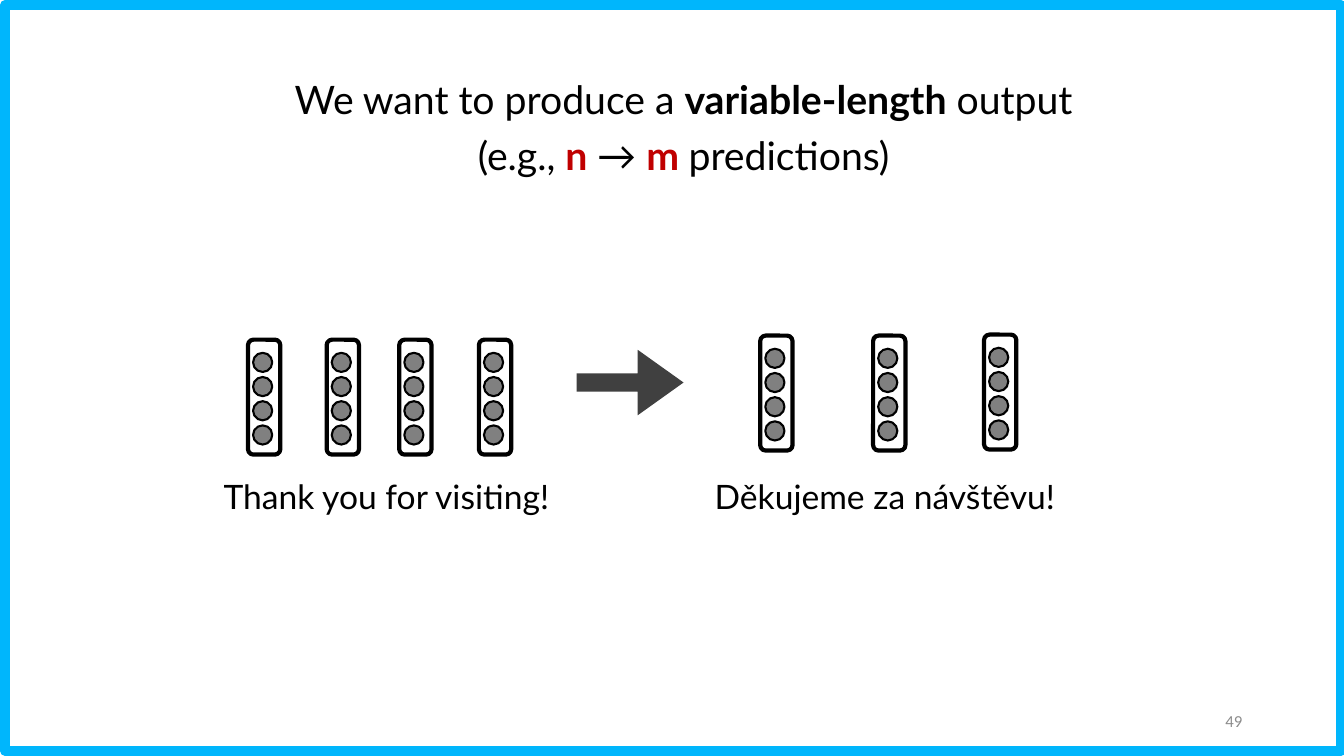
"""Build the variable-length output slide."""
from dataclasses import dataclass

import pptx
import pptx.dml.color
import pptx.enum.shapes
import pptx.enum.text
import pptx.util

Inches = pptx.util.Inches
Pt = pptx.util.Pt
RGBColor = pptx.dml.color.RGBColor
Shape = pptx.enum.shapes.MSO_SHAPE
Align = pptx.enum.text.PP_ALIGN
Anchor = pptx.enum.text.MSO_ANCHOR

BLACK = RGBColor(0x00, 0x00, 0x00)
RED = RGBColor(0xC0, 0x00, 0x00)
GRAY = RGBColor(0x80, 0x80, 0x80)
NUMBER_GRAY = RGBColor(0x8C, 0x8C, 0x8C)
DARK_GRAY = RGBColor(0x40, 0x40, 0x40)
SKY = RGBColor(0x00, 0xB6, 0xFC)


@dataclass(frozen=True)
class Box:
    left: float
    top: float
    width: float
    height: float


@dataclass(frozen=True)
class Label:
    text: str
    box: Box
    size: float = 24
    font: str = "Lato"
    color: RGBColor = BLACK
    align: Align = Align.LEFT
    anchor: Anchor = Anchor.TOP


@dataclass(frozen=True)
class Segment:
    text: str
    bold: bool = False
    color: RGBColor = BLACK


@dataclass(frozen=True)
class Vector:
    left: float
    top: float


TITLE_BOX = Box(2.67, 0.6, 8.22, 1.5)
TITLE_LINES = [
    [Segment("We want to produce a "), Segment("variable-length", True), Segment(" output")],
    [Segment("(e.g., "), Segment("n ", True, RED), Segment("→ "),
     Segment("m ", True, RED), Segment("predictions)")],
]
LABELS = [
    Label("Thank you for visiting!", Box(2.12, 4.67, 3.84, 0.5)),
    Label("Děkujeme za návštěvu!", Box(6.99, 4.67, 3.84, 0.5)),
    Label("49", Box(9.42, 6.95, 3, 0.4), 12, "Calibri", NUMBER_GRAY, Align.RIGHT, Anchor.MIDDLE),
]
VECTORS = [
    Vector(2.46, 3.37), Vector(3.24, 3.37), Vector(3.96, 3.37), Vector(4.75, 3.37),
    Vector(7.54, 3.33), Vector(8.66, 3.33), Vector(9.76, 3.32),
]
UNITS = 4
UNIT_SIZE = 0.19
UNIT_STEP = 0.24


def add_box(shapes, kind: Shape, box: Box, fill: RGBColor | None = None,
            line: RGBColor | None = None, weight: float = 0):
    sp = shapes.add_shape(kind, Inches(box.left), Inches(box.top),
                          Inches(box.width), Inches(box.height))
    sp.shadow.inherit = False
    if fill is None:
        sp.fill.background()
    else:
        sp.fill.solid()
        sp.fill.fore_color.rgb = fill
    if line is None:
        sp.line.fill.background()
    else:
        sp.line.color.rgb = line
        sp.line.width = Pt(weight)
    return sp


def style_run(r, font: str, size: float, color: RGBColor, bold: bool = False) -> None:
    r.font.name = font
    r.font.size = Pt(size)
    r.font.color.rgb = color
    r.font.bold = bold


def fill_title(sp) -> None:
    sp.left, sp.top = Inches(TITLE_BOX.left), Inches(TITLE_BOX.top)
    sp.width, sp.height = Inches(TITLE_BOX.width), Inches(TITLE_BOX.height)
    tf = sp.text_frame
    tf.auto_size = pptx.enum.text.MSO_AUTO_SIZE.NONE
    tf.vertical_anchor = Anchor.TOP
    for i, line in enumerate(TITLE_LINES):
        p = tf.add_paragraph() if i else tf.paragraphs[0]
        p.alignment = Align.CENTER
        p.line_spacing = 1.2
        for segment in line:
            r = p.add_run()
            r.text = segment.text
            style_run(r, "Lato", 28, segment.color, segment.bold)


def add_label(shapes, label: Label) -> None:
    box = label.box
    sp = shapes.add_textbox(Inches(box.left), Inches(box.top),
                            Inches(box.width), Inches(box.height))
    tf = sp.text_frame
    tf.word_wrap = True
    tf.vertical_anchor = label.anchor
    tf.text = label.text
    p = tf.paragraphs[0]
    p.alignment = label.align
    style_run(p.runs[0], label.font, label.size, label.color)


def add_vector(shapes, vector: Vector) -> None:
    group = shapes.add_group_shape()
    add_box(group.shapes, Shape.ROUNDED_RECTANGLE,
            Box(vector.left, vector.top, 0.32, 1.14), line=BLACK, weight=3)
    for i in range(UNITS):
        unit = Box(vector.left + 0.05, vector.top + 0.13 + i * UNIT_STEP, UNIT_SIZE, UNIT_SIZE)
        add_box(group.shapes, Shape.OVAL, unit, GRAY, BLACK, 1.5)


def main() -> None:
    prs = pptx.Presentation()
    prs.slide_width, prs.slide_height = Inches(13.33), Inches(7.5)
    s = prs.slides.add_slide(prs.slide_layouts[5])
    add_box(s.shapes, Shape.RECTANGLE, Box(0.05, 0.05, 13.25, 7.4), line=SKY, weight=7)
    fill_title(s.shapes.title)
    for label in LABELS:
        add_label(s.shapes, label)
    for vector in VECTORS:
        add_vector(s.shapes, vector)
    arrow = add_box(s.shapes, Shape.RIGHT_ARROW, Box(5.72, 3.47, 1.06, 0.65), DARK_GRAY)
    arrow.adjustments[0] = 0.28
    arrow.adjustments[1] = 0.7
    prs.save("out.pptx")


if __name__ == "__main__":
    main()
